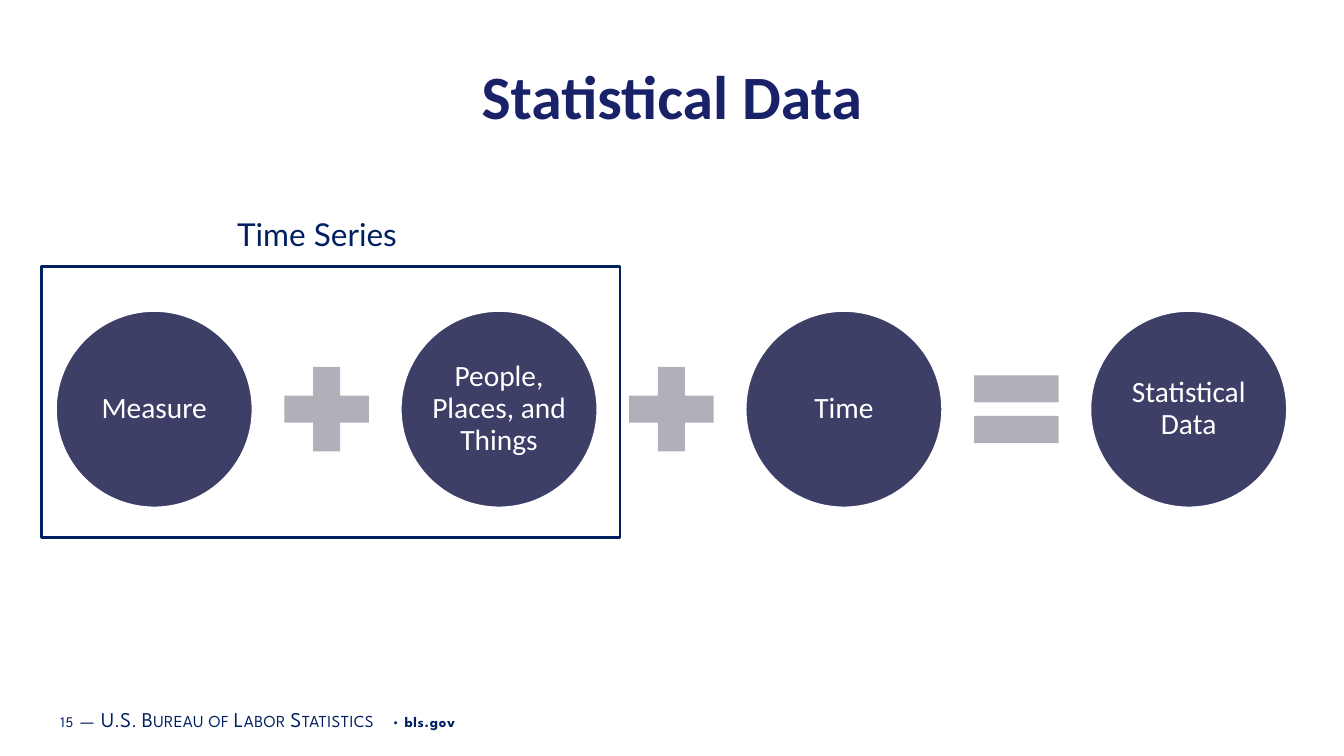
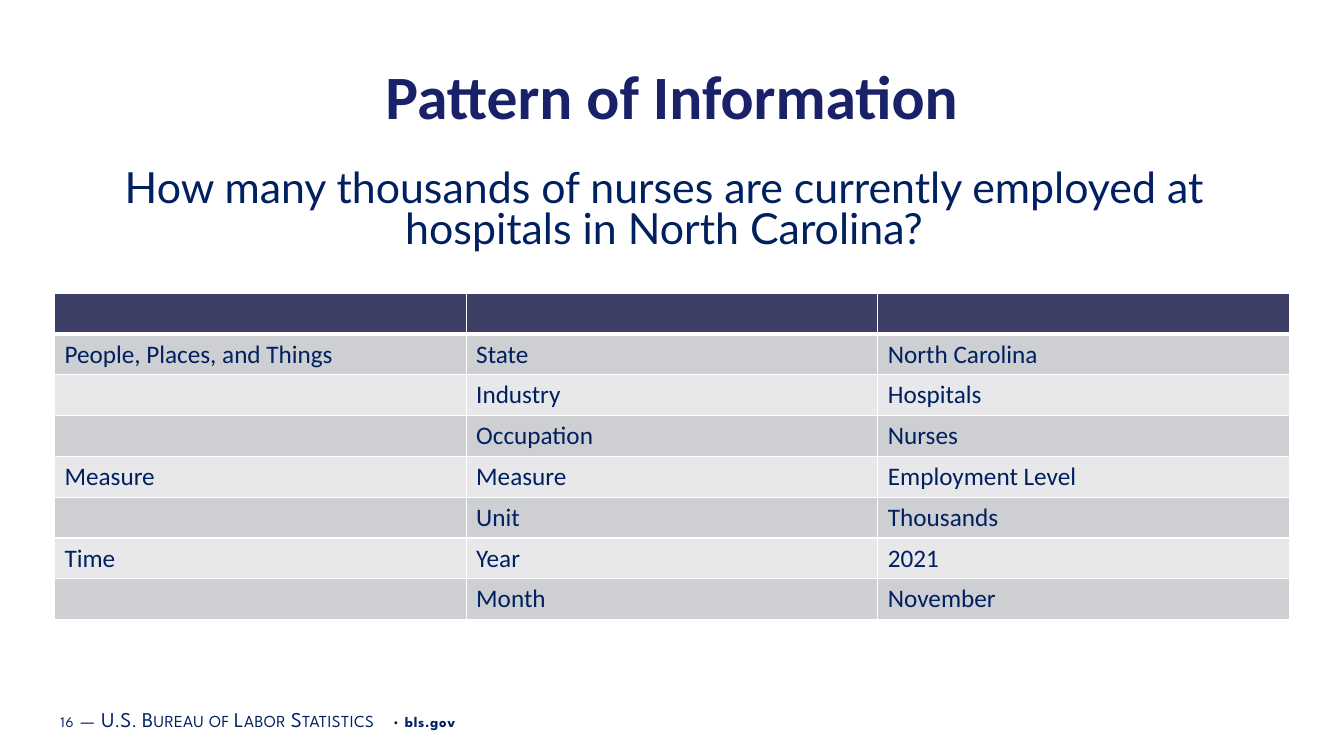
"""Build two slides on statistical data and its pattern of information."""
from lxml.etree import SubElement as Sub
from pptx import Presentation
from pptx.dml.color import RGBColor as RGB
from pptx.enum.shapes import MSO_SHAPE as Kind
from pptx.enum.text import MSO_ANCHOR as Anchor, PP_ALIGN as Align
from pptx.oxml.ns import qn
from pptx.util import Pt

SCALE = 9144
HUES = {"title": "192168", "text": "002060", "main": "3E3F67", "sign": "AFB0B8",
        "dark": "CECFD3", "light": "E8E8EB", "white": "FFFFFF"}

FOOT = [(" ", 16, 0, 0, 0), ("—", 15, 30, 1, 0), (" ", 16, 50, 0, 0),
        ("U.S. Bureau of Labor Statistics", 15, 30, 1, 0),
        (" • ", 10.5, 50, 0, 0), ("bls.gov", 10.5, 50, 0, 1)]
TERMS = ["Measure", "People, Places, and Things", "Time", "Statistical Data"]
SIGNS = [Kind.MATH_PLUS, Kind.MATH_PLUS, Kind.MATH_EQUAL]
QUERY = "How many thousands of nurses are currently employed at hospitals in North Carolina?"
ROWS = [("", "", ""),
        ("People, Places, and Things", "State", "North Carolina"),
        ("", "Industry", "Hospitals"),
        ("", "Occupation", "Nurses"),
        ("Measure", "Measure", "Employment Level"),
        ("", "Unit", "Thousands"),
        ("Time", "Year", "2021"),
        ("", "Month", "November")]
LEFT, TOP, DISC, SIGN, GAP = 55, 308, 196, 114, 16
GRID = (54, 291, 1225, 324)


def px(*nums):
    return [round(n * SCALE) for n in nums]


def hue(name):
    return RGB.from_string(HUES[name])


def style(font, size, color, face="Calibri", bold=False):
    font.name, font.size, font.bold = face, Pt(size), bold
    font.color.rgb = hue(color)


def pad(frame, side, top):
    frame.margin_left = frame.margin_right = px(side)[0]
    frame.margin_top = frame.margin_bottom = px(top)[0]


def write(frame, text, size, color, space=None, **look):
    frame.word_wrap = True
    frame.vertical_anchor = Anchor.MIDDLE
    para = frame.paragraphs[0]
    para.text, para.alignment = text, Align.CENTER
    if space:
        para.line_spacing = space
    style(para.font, size, color, **look)


def label(slide, box, *args, **look):
    write(slide.shapes.add_textbox(*px(*box)).text_frame, *args, **look)


def shape(slide, kind, box, fill=None, line=None):
    item = slide.shapes.add_shape(kind, *px(*box))
    item.shadow.inherit = False
    if fill:
        item.fill.solid()
        item.fill.fore_color.rgb = hue(fill)
    else:
        item.fill.background()
    if line:
        item.line.color.rgb = hue(line)
        item.line.width = Pt(2)
    else:
        item.line.fill.background()
    return item


def footer(slide, num):
    frame = slide.shapes.add_textbox(*px(53, 693, 847, 40)).text_frame
    frame.word_wrap = True
    frame.vertical_anchor = Anchor.MIDDLE
    pad(frame, 7, 4)
    for text, size, space, small, bold in [(str(num), 10.5, 50, 0, 0)] + FOOT:
        run = frame.paragraphs[0].add_run()
        run.text = text
        style(run.font, size, "text", "League Spartan", bool(bold))
        props = run.font._element
        props.set("spc", str(space or 50))
        if small:
            props.set("cap", "small")


def start(deck, num, title):
    slide = deck.slides.add_slide(deck.slide_layouts[6])
    footer(slide, num)
    label(slide, (54, 50, 1225, 88), title, 44, "title", bold=True)
    return slide


def chain(slide):
    for i, term in enumerate(TERMS):
        x = LEFT + i * (DISC + SIGN + 2 * GAP)
        disc = shape(slide, Kind.OVAL, (x, TOP, DISC, DISC), "main", "white")
        pad(disc.text_frame, 3, 3)
        write(disc.text_frame, term, 21, "white", 0.9)
        if i < len(SIGNS):
            y = TOP + (DISC - SIGN) / 2
            shape(slide, SIGNS[i], (x + DISC + GAP, y, SIGN, SIGN), "sign")
    shape(slide, Kind.RECTANGLE, (41, 264, 574, 269), line="text")
    label(slide, (214, 214, 201, 43), "Time Series", 22.5, "text", 0.8, face="Lato")


def edge(cell, side, width):
    line = Sub(cell._tc.get_or_add_tcPr(), qn("a:ln" + side), w=str(Pt(width)))
    Sub(Sub(line, qn("a:solidFill")), qn("a:srgbClr"), val=HUES["white"])


def table(slide):
    grid = slide.shapes.add_table(len(ROWS), len(ROWS[0]), *px(*GRID)).table
    for r, row in enumerate(ROWS):
        grid.rows[r].height = px(GRID[3] / len(ROWS))[0]
        fill = "main" if r == 0 else "dark" if r % 2 else "light"
        for c, text in enumerate(row):
            cell = grid.cell(r, c)
            for side in "LRTB":
                heavy = (r, side) in ((0, "B"), (1, "T"))
                edge(cell, side, 3 if heavy else 1)
            cell.fill.solid()
            cell.fill.fore_color.rgb = hue(fill)
            para = cell.text_frame.paragraphs[0]
            para.text = text
            style(para.font, 18, "text")


def main():
    deck = Presentation()
    deck.slide_width, deck.slide_height = px(1333, 750)
    chain(start(deck, 15, "Statistical Data"))
    slide = start(deck, 16, "Pattern of Information")
    table(slide)
    label(slide, (99, 162, 1119, 96), QUERY, 30.6, "text", 0.8, face="Lato")
    deck.save("out.pptx")


if __name__ == "__main__":
    main()
